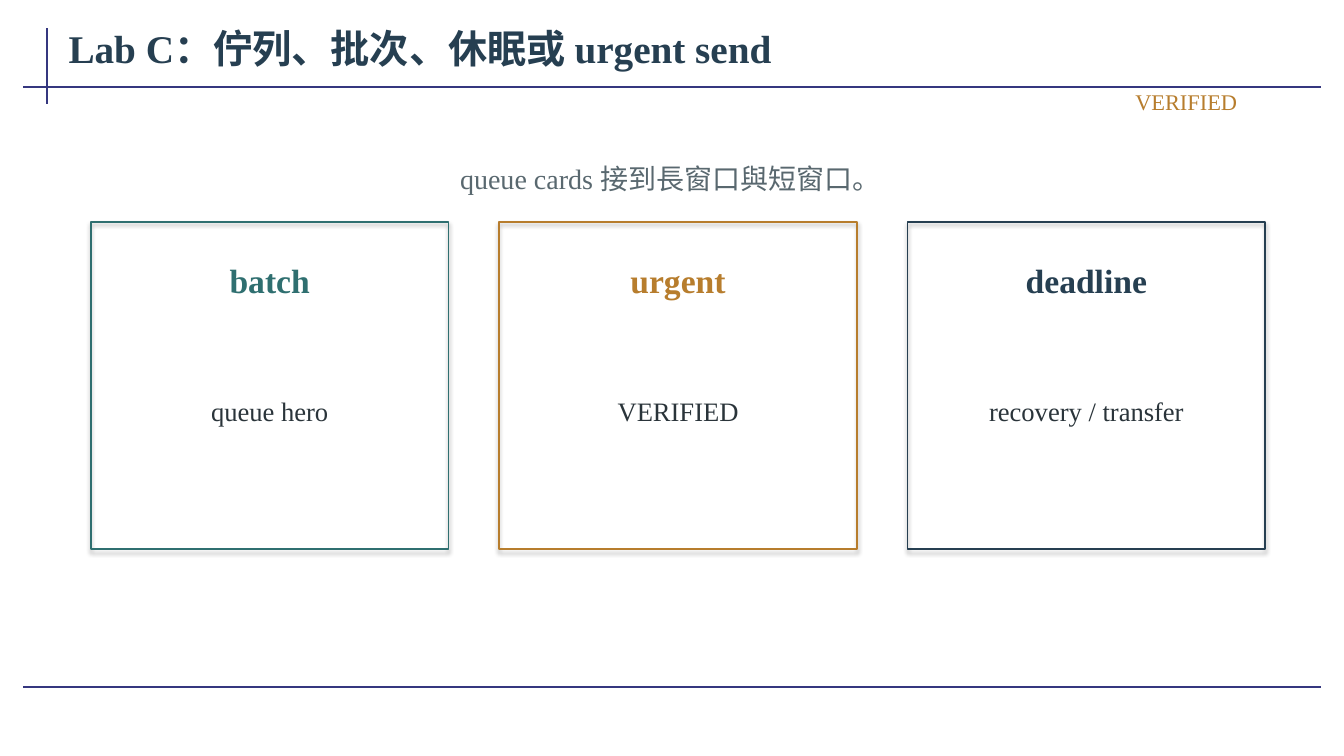
from lxml import etree
from pptx import Presentation
from pptx import util as u
from pptx.dml.color import RGBColor
from pptx.enum import shapes, text
from pptx.oxml import ns

TITLE = "Lab C：佇列、批次、休眠或 urgent send"
LEAD = "queue cards 接到長窗口與短窗口。"
STATUS = "VERIFIED"
CARDS = [
    ("batch", "queue hero", "teal"),
    ("urgent", "VERIFIED", "amber"),
    ("deadline", "recovery / transfer", "navy"),
]
RULES = [(47, 28, 47, 103), (23, 86, 1310, 86), (23, 682, 1310, 682)]

COLOURS = {
    "rule": "35377F",
    "navy": "263F51",
    "teal": "2F6F70",
    "amber": "B77D2D",
    "grey": "59686F",
    "ink": "2A343A",
}
FONT = "Times New Roman"
PX = 9144
CARD_LEFT, CARD_TOP, CARD_WIDTH, CARD_HEIGHT, CARD_GAP = 90, 220, 355, 325, 50


def px(*lengths):
    return [u.Emu(length * PX) for length in lengths]


def colour(name):
    return RGBColor.from_string(COLOURS[name])


def write(box, words, size, tint, align, bold=False, fit=text.MSO_AUTO_SIZE.SHAPE_TO_FIT_TEXT):
    frame = box.text_frame
    frame.word_wrap = True
    frame.auto_size = fit
    frame.vertical_anchor = text.MSO_ANCHOR.MIDDLE
    frame.margin_left, frame.margin_top, frame.margin_right, frame.margin_bottom = px(8, 4, 8, 4)
    para = frame.paragraphs[0]
    para.text = words
    para.alignment = align
    para.font.name = FONT
    para.font.size = u.Pt(size)
    para.font.bold = bold
    para.font.color.rgb = colour(tint)


def add_text(page, place, *style, **options):
    write(page.shapes.add_textbox(*px(*place)), *style, **options)


def add_rule(page, ends):
    rule = page.shapes.add_connector(shapes.MSO_CONNECTOR.STRAIGHT, *px(*ends))
    rule.line.color.rgb = colour("rule")
    rule.line.width = u.Pt(1.5)
    etree.SubElement(rule._element.spPr, ns.qn("a:effectLst"))


def add_card(page, left, heading, body, tint):
    card = page.shapes.add_shape(
        shapes.MSO_SHAPE.RECTANGLE, *px(left, CARD_TOP, CARD_WIDTH, CARD_HEIGHT))
    card.fill.background()
    card.line.color.rgb = colour(tint)
    card.line.width = u.Pt(1.2)
    centre = text.PP_ALIGN.CENTER
    add_text(page, (left + 15, CARD_TOP + 25, CARD_WIDTH - 30, 65),
             heading, 24, tint, centre, bold=True)
    add_text(page, (left + 20, CARD_TOP + 110, CARD_WIDTH - 40, 155),
             body, 19, "ink", centre)


def main():
    deck = Presentation()
    deck.slide_width, deck.slide_height = px(1333, 750)
    page = deck.slides.add_slide(deck.slide_layouts[5])

    for ends in RULES:
        add_rule(page, ends)

    title = page.shapes.title
    title.left, title.top, title.width, title.height = px(60, 16, 1251, 62)
    write(title, TITLE, 28, "navy", text.PP_ALIGN.LEFT, bold=True, fit=text.MSO_AUTO_SIZE.NONE)

    add_text(page, (90, 148, 1150, 58), LEAD, 20, "grey", text.PP_ALIGN.CENTER)
    for index, card in enumerate(CARDS):
        add_card(page, CARD_LEFT + index * (CARD_WIDTH + CARD_GAP), *card)
    add_text(page, (915, 86, 320, 30), STATUS, 16, "amber", text.PP_ALIGN.RIGHT)

    deck.save("out.pptx")


if __name__ == "__main__":
    main()
